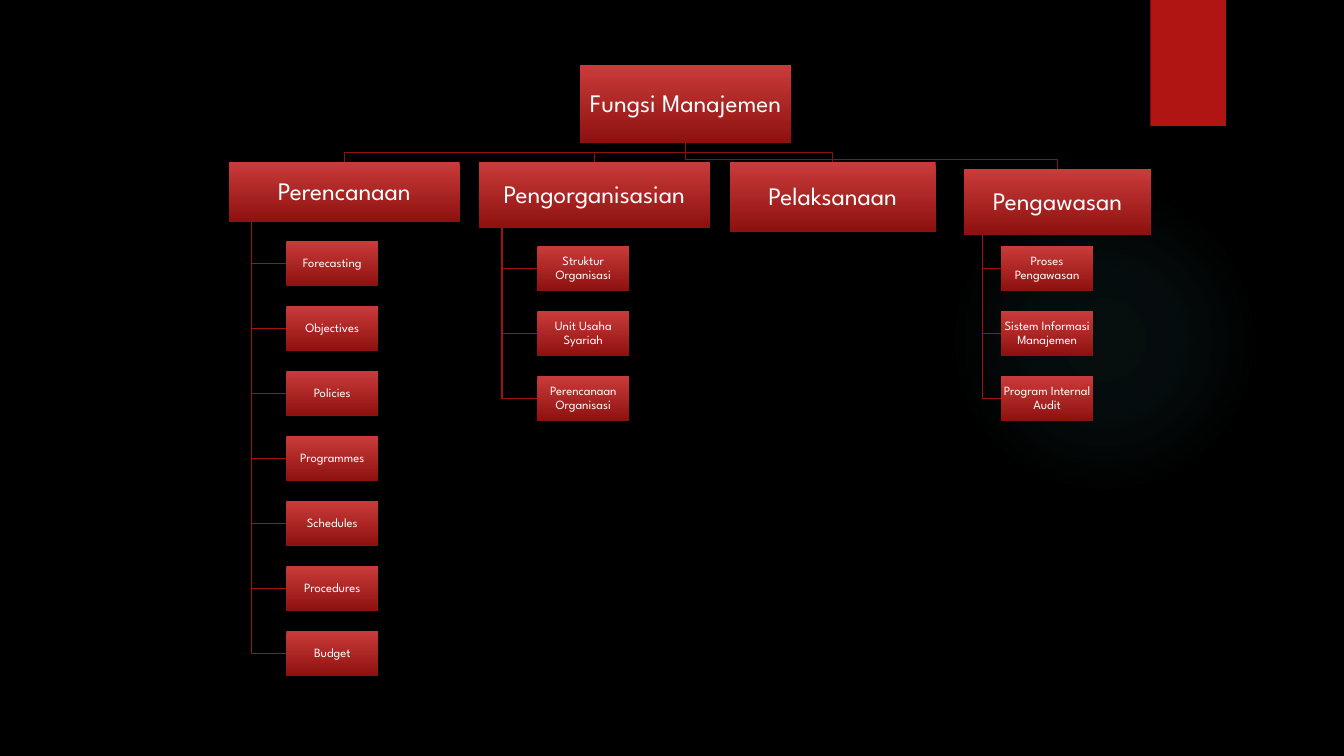
"""Builds an organisation chart of the management functions."""
from lxml.etree import SubElement
from pptx import Presentation
from pptx.dml.color import RGBColor
from pptx.enum.shapes import MSO_SHAPE
from pptx.enum.text import MSO_ANCHOR, PP_ALIGN
from pptx.oxml.ns import qn
from pptx.util import Inches, Pt

COLORS = {
    "background": "000000",
    "accent": "B01513",
    "glow": "50B9C1",
    "box_top": "C93B3A",
    "box_bottom": "8D110F",
    "function_link": "8D110F",
    "activity_link": "A01311",
    "text": "FFFFFF",
}
GLOW_STOPS = [(0, 7), (36, 6), (69, 0)]
ROOT = ("Fungsi Manajemen", (5.75, 0.65, 2.1, 0.77))
BRANCHES = [
    ("Perencanaan", (2.27, 1.61, 2.29, 0.59), (2.84, 2.39),
     ["Forecasting", "Objectives", "Policies", "Programmes", "Schedules",
      "Procedures", "Budget"]),
    ("Pengorganisasian", (4.75, 1.61, 2.29, 0.65), (5.33, 2.44),
     ["Struktur Organisasi", "Unit Usaha Syariah", "Perencanaan Organisasi"]),
    ("Pelaksanaan", (7.24, 1.61, 2.04, 0.69), None, []),
    ("Pengawasan", (9.56, 1.68, 1.86, 0.65), (9.93, 2.44),
     ["Proses Pengawasan", "Sistem Informasi Manajemen",
      "Program Internal Audit"]),
]
ACTIVITY_SIZE = (0.91, 0.45)
ACTIVITY_PITCH = 3.87 / 6
LINK_DROP = 0.1
SPINE_SHARE = 0.1


class ChartSlide:
    """Holds the style and the current slide."""

    def __init__(self, slide, font="League Spartan"):
        """Set the slide, its font and its background."""
        self.shapes = slide.shapes
        self.font = font
        fill = slide.background.fill
        fill.solid()
        fill.fore_color.rgb = self.color("background")

    def color(self, name):
        """Return a named colour."""
        return RGBColor.from_string(COLORS[name])

    def plain(self, kind, place):
        """Add a preset shape without outline or shadow."""
        shape = self.shapes.add_shape(kind, *map(Inches, place))
        shape.line.fill.background()
        shape.shadow.inherit = False
        return shape

    def ribbon(self, place):
        """Add the solid accent block."""
        fill = self.plain(MSO_SHAPE.RECTANGLE, place).fill
        fill.solid()
        fill.fore_color.rgb = self.color("accent")

    def glow(self, place):
        """Add a faint circular glow."""
        properties = self.plain(MSO_SHAPE.OVAL, place).element.spPr
        gradient = SubElement(properties, qn("a:gradFill"))
        properties.insert(2, gradient)
        stops = SubElement(gradient, qn("a:gsLst"))
        for position, opacity in GLOW_STOPS:
            stop = SubElement(stops, qn("a:gs"), pos=str(position * 1000))
            tint = SubElement(stop, qn("a:srgbClr"), val=COLORS["glow"])
            SubElement(tint, qn("a:alpha"), val=str(opacity * 1000))
        circle = SubElement(gradient, qn("a:path"), path="circle")
        SubElement(circle, qn("a:fillToRect"), dict.fromkeys("ltrb", "50000"))

    def link(self, points, color):
        """Add an angled line through the points."""
        start, *bends = [tuple(map(Inches, point)) for point in points]
        builder = self.shapes.build_freeform(*start)
        builder.add_line_segments(bends, close=False)
        elbow = builder.convert_to_shape()
        elbow.fill.background()
        elbow.line.color.rgb = self.color(color)
        elbow.line.width = Pt(0.75)
        elbow.shadow.inherit = False

    def box(self, label, place, size):
        """Add a gradient box with a centred label."""
        shape = self.plain(MSO_SHAPE.RECTANGLE, place)
        shape.fill.gradient()
        shape.fill.gradient_angle = 270
        for stop, name in zip(shape.fill.gradient_stops, ("box_top", "box_bottom")):
            stop.color.rgb = self.color(name)
        frame = shape.text_frame
        frame.text = label
        paragraph = frame.paragraphs[0]
        margins = dict.fromkeys(
            [f"margin_{side}" for side in ("left", "top", "right", "bottom")],
            Inches(0.01))
        formats = [
            (frame, {"word_wrap": True, "vertical_anchor": MSO_ANCHOR.MIDDLE, **margins}),
            (paragraph, {"alignment": PP_ALIGN.CENTER, "line_spacing": 0.9}),
            (paragraph.runs[0].font, {"name": self.font, "size": Pt(size)}),
            (paragraph.runs[0].font.color, {"rgb": self.color("text")}),
        ]
        for target, values in formats:
            for attribute, value in values.items():
                setattr(target, attribute, value)


def activity_places(first, activities):
    """Return the place of each activity box below a function."""
    return [(first[0], first[1] + row * ACTIVITY_PITCH, *ACTIVITY_SIZE)
            for row in range(len(activities))]


def link_branch(chart, place, first, activities):
    """Link a function to the root and to its activities."""
    left, top, width, height = place
    root_left, root_top, root_width, root_height = ROOT[1]
    root_middle = root_left + root_width / 2
    middle, bend = left + width / 2, top - LINK_DROP
    chart.link([(root_middle, root_top + root_height), (root_middle, bend),
                (middle, bend), (middle, top)], "function_link")
    spine = left + width * SPINE_SHARE
    for activity_left, activity_top, _, tall in activity_places(first, activities):
        level = activity_top + tall / 2
        chart.link([(spine, top + height), (spine, level),
                    (activity_left, level)], "activity_link")


def main():
    """Build the slide and save it."""
    deck = Presentation()
    deck.slide_width, deck.slide_height = Inches(13.33), Inches(7.5)
    chart = ChartSlide(deck.slides.add_slide(deck.slide_layouts[6]))
    chart.glow((9.41, 1.83, 3.08, 3.08))
    chart.ribbon((11.41, 0, 0.75, 1.25))
    for _, place, first, activities in BRANCHES:
        link_branch(chart, place, first, activities)
    chart.box(*ROOT, 18)
    for function, place, first, activities in BRANCHES:
        chart.box(function, place, 18)
        for activity, spot in zip(activities, activity_places(first, activities)):
            chart.box(activity, spot, 9)
    deck.save("out.pptx")


if __name__ == "__main__":
    main()
